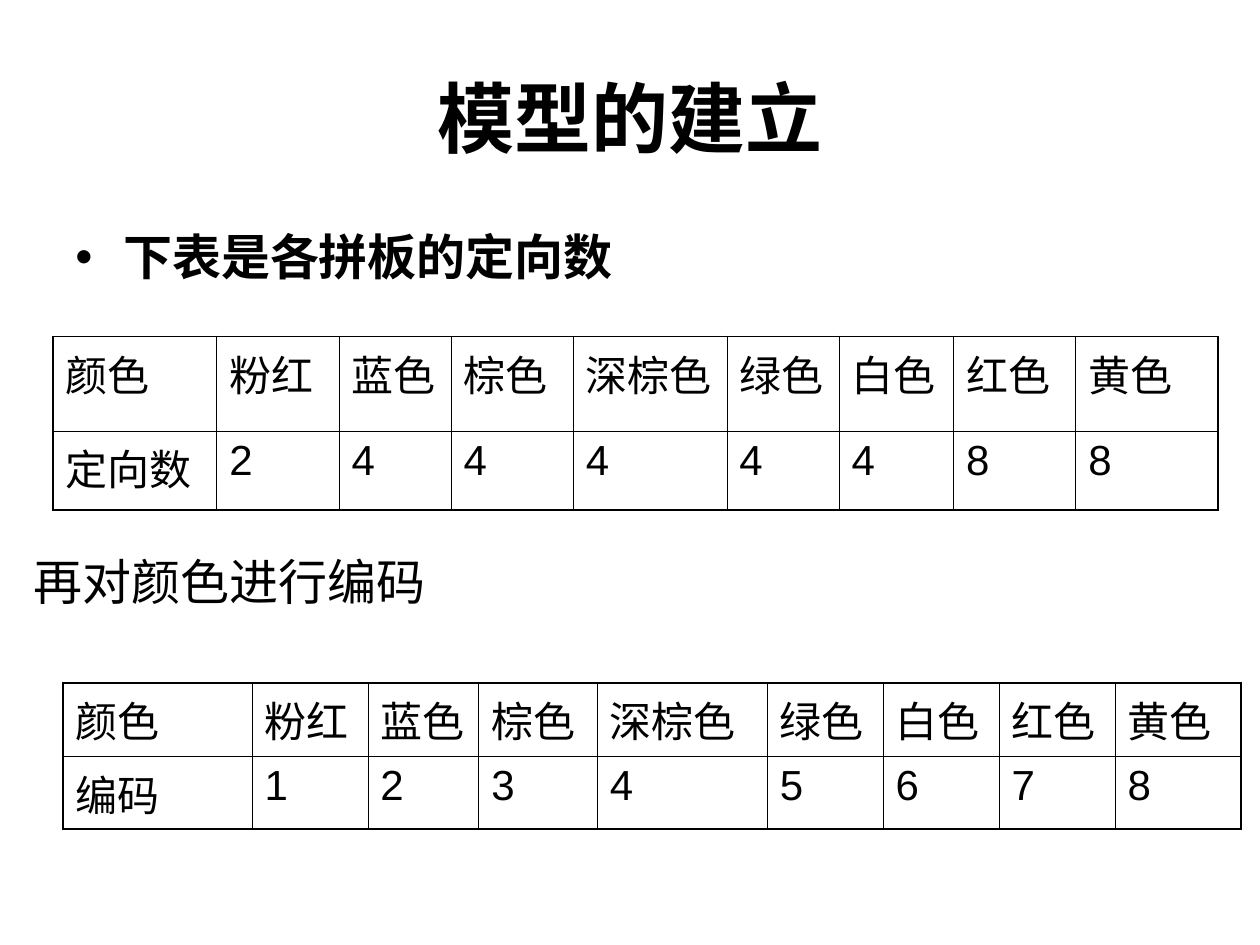
from dataclasses import dataclass

from lxml import etree
from pptx import Presentation
from pptx import util as u
from pptx.dml.color import RGBColor
from pptx.enum import text
from pptx.oxml import ns


@dataclass(frozen=True)
class Theme:
    ink: str = "000000"
    latin: str = "Arial"
    cjk: str = "Noto Sans CJK SC"
    title: int = 44
    body: int = 28
    cell: int = 24
    thin: float = 0.45
    thick: float = 1.08


THEME = Theme()
COLOURS = ["颜色", "粉红", "蓝色", "棕色", "深棕色", "绿色", "白色", "红色", "黄色"]


def add_xml(parent, tag, **attrs):
    return etree.SubElement(parent, ns.qn(tag), attrs)


def write(p, wording, size, latin=THEME.latin, bold=False):
    r = p.add_run()
    r.text = wording
    style = {"name": latin, "size": u.Pt(size), "bold": bold}
    for name, value in style.items():
        setattr(r.font, name, value)
    r.font.color.rgb = RGBColor.from_string(THEME.ink)
    add_xml(r.font._element, "a:ea", typeface=THEME.cjk)


def add_bullet(p, indent):
    pPr = p._p.get_or_add_pPr()
    pPr.set("marL", str(indent))
    pPr.set("indent", str(-indent))
    add_xml(pPr, "a:buFont", typeface=THEME.latin)
    add_xml(pPr, "a:buChar", char="•")


def add_text(s, box, wording, size, align=text.PP_ALIGN.LEFT,
             anchor=text.MSO_ANCHOR.TOP, bullet=False, **font):
    sp = s.shapes.add_textbox(*map(u.Inches, box))
    tf = sp.text_frame
    for name, value in {"word_wrap": True, "vertical_anchor": anchor}.items():
        setattr(tf, name, value)
    p = tf.paragraphs[0]
    p.alignment = align
    if bullet:
        add_bullet(p, u.Inches(0.38))
    write(p, wording, size, **font)


def add_borders(cell, outer):
    """Draw all four edges, thick on the sides named in outer."""
    tcPr = cell._tc.get_or_add_tcPr()
    for side in "LRTB":
        width = THEME.thick if side in outer else THEME.thin
        ln = add_xml(tcPr, f"a:ln{side}", w=str(u.Pt(width)))
        fill = add_xml(ln, "a:solidFill")
        add_xml(fill, "a:srgbClr", val=THEME.ink)


def add_grid(s, left, top, widths, heights, rows):
    size = (sum(widths), sum(heights))
    frame = s.shapes.add_table(len(rows), len(widths),
                               *map(u.Inches, (left, top, *size)))
    table = frame.table
    table.first_row = table.horz_banding = False
    for col, width in zip(table.columns, widths):
        col.width = u.Inches(width)
    for row, height in zip(table.rows, heights):
        row.height = u.Inches(height)
    for i, row in enumerate(rows):
        for j, wording in enumerate(row):
            cell = table.cell(i, j)
            edges = {"L": j == 0, "R": j == len(row) - 1,
                     "T": i == 0, "B": i == len(rows) - 1}
            add_borders(cell, [side for side, on in edges.items() if on])
            cell.fill.background()
            write(cell.text_frame.paragraphs[0], str(wording), THEME.cell)


def main():
    prs = Presentation()
    prs.slide_width, prs.slide_height = u.Inches(10), u.Inches(7.5)
    s = prs.slides.add_slide(prs.slide_layouts[6])

    add_text(s, (0.5, 0.3, 9, 1.25), "模型的建立", THEME.title,
             align=text.PP_ALIGN.CENTER, anchor=text.MSO_ANCHOR.MIDDLE,
             latin=THEME.cjk, bold=True)
    add_text(s, (0.5, 1.75, 7.42, 0.75), "下表是各拼板的定向数", THEME.body,
             bullet=True, latin=THEME.cjk, bold=True)
    add_grid(s, 0.42, 2.67,
             [1.3, 0.97, 0.89, 0.97, 1.22, 0.89, 0.91, 0.97, 1.13],
             [0.75, 0.63],
             [COLOURS, ["定向数", 2, 4, 4, 4, 4, 4, 8, 8]])
    add_text(s, (0.17, 4.33, 3.4, 0.57), "再对颜色进行编码", THEME.body)
    add_grid(s, 0.5, 5.42,
             [1.5, 0.92, 0.88, 0.94, 1.35, 0.92, 0.92, 0.92, 1],
             [0.58, 0.58],
             [COLOURS, ["编码", *range(1, 9)]])

    prs.save("out.pptx")


if __name__ == "__main__":
    main()
